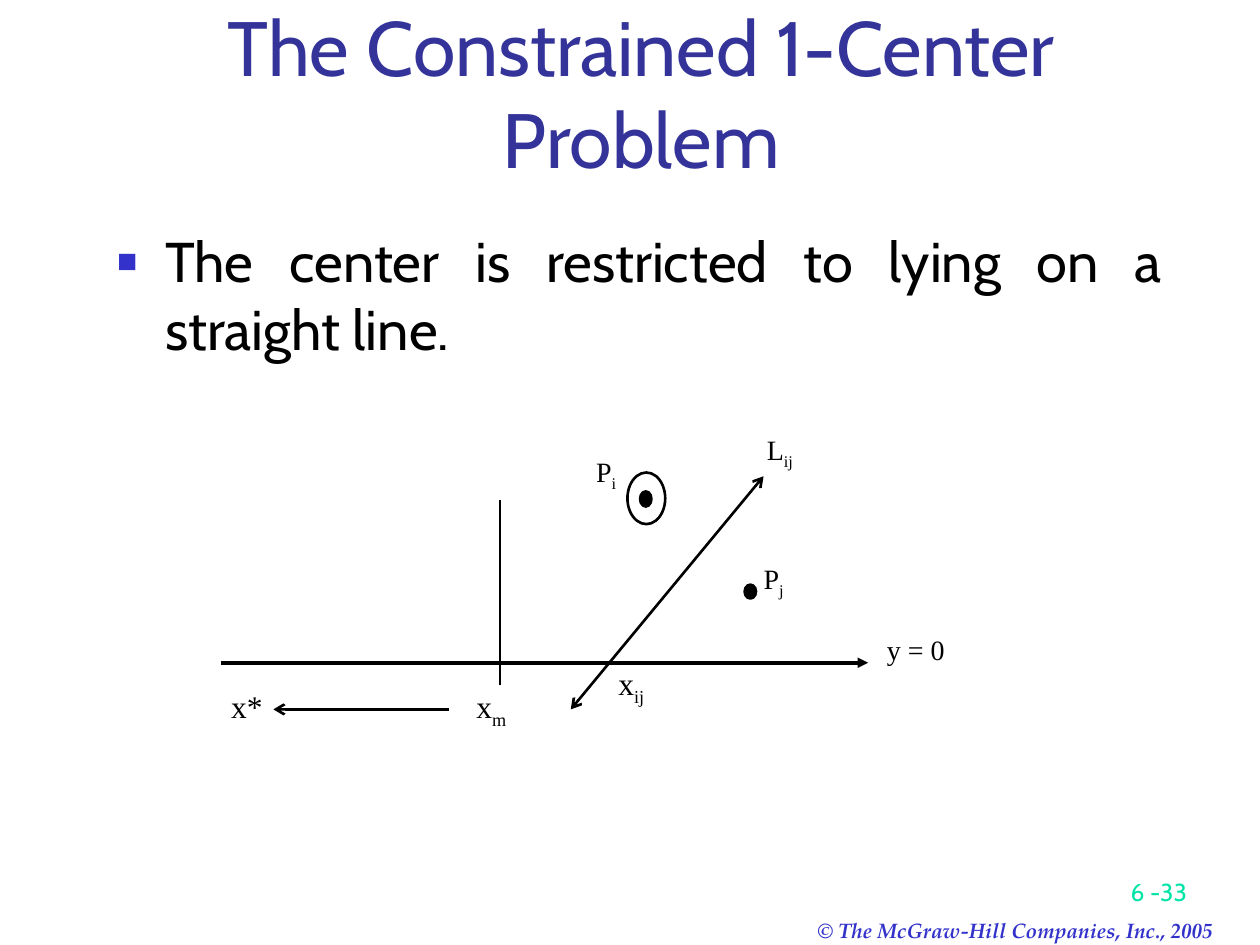
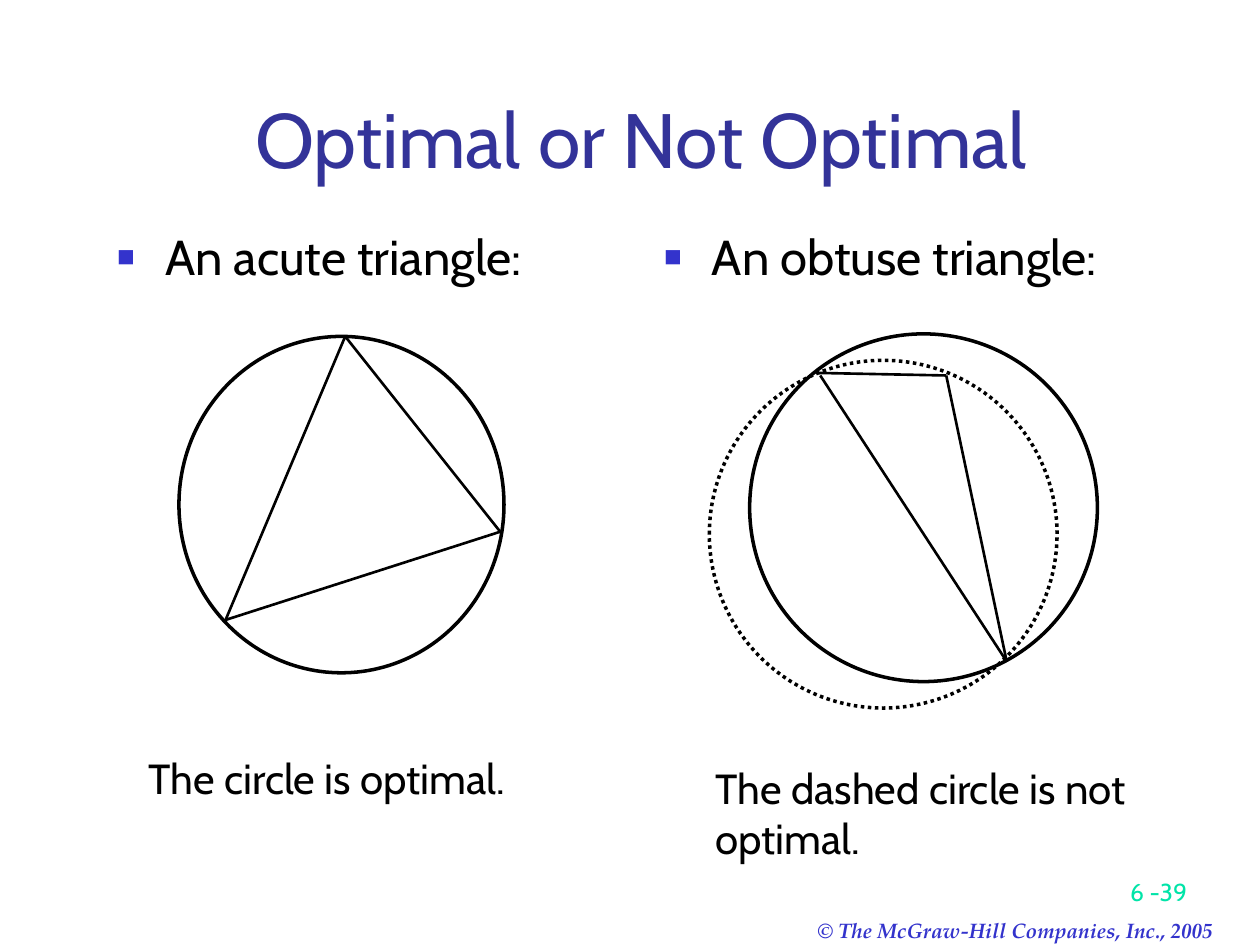
from lxml.etree import SubElement
from pptx import Presentation
from pptx.dml.color import RGBColor
from pptx.enum.dml import MSO_LINE
from pptx.enum.shapes import MSO_CONNECTOR, MSO_SHAPE
from pptx.enum.text import MSO_ANCHOR, MSO_AUTO_SIZE, PP_ALIGN
from pptx.oxml.ns import qn
from pptx.util import Inches, Pt

BLACK = RGBColor(0x00, 0x00, 0x00)
NAVY = RGBColor(0x33, 0x33, 0x99)
BLUE = RGBColor(0x33, 0x33, 0xCC)
GREEN = RGBColor(0x00, 0xE4, 0xA8)
SANS, SERIF, BOOK = "Cabin", "Times New Roman", "TeX Gyre Pagella"
LEFT, MID, RIGHT, FULL = PP_ALIGN.LEFT, PP_ALIGN.CENTER, PP_ALIGN.RIGHT, PP_ALIGN.JUSTIFY

CREDIT = "© The McGraw-Hill Companies, Inc., 2005"
TITLE_BOX = (0.83, 0.67, 8.52, 0.84)
CREDIT_BOX = (6.39, 7.23, 3.68, 0.3)
PAGE_BOX = (7.44, 6.74, 2.08, 0.5)

CENTER = {
    "title": "The Constrained 1-Center Problem",
    "page": "6 -33",
    "layout": 1,
    "size": 32,
    "lists": [("The center is restricted to lying on a straight line.", (0.83, 1.75, 8.5, 4.5), FULL)],
}
OPTIMAL = {
    "title": "Optimal or Not Optimal",
    "page": "6 -39",
    "layout": 3,
    "size": 28,
    "lists": [
        ("An acute triangle:", (0.83, 1.75, 4.17, 4.5), FULL),
        ("An obtuse triangle:", (5.17, 1.75, 4.17, 4.5), LEFT),
    ],
}

AXES = [
    ((1.75, 5.26), (6.89, 5.26), {"width": 2, "tail": "triangle"}),
    ((3.97, 5.44), (3.97, 3.97), {}),
    ((4.53, 5.63), (6.06, 3.78), {"head": "arrow", "tail": "arrow"}),
    ((3.56, 5.63), (2.17, 5.63), {"tail": "arrow"}),
]
DOTS = [(5.91, 4.64, 0.09, 0.11), (5.08, 3.9, 0.09, 0.12)]
RING = (4.98, 3.75, 0.3, 0.41)
LABELS = [
    ("y = 0", 7.03, 5.01, 0.56, 16, LEFT),
    ("L_ij", 6.05, 3.42, 0.28, 16, MID),
    ("P_i", 4.67, 3.6, 0.28, 16, MID),
    ("P_j", 6.05, 4.45, 0.28, 16, LEFT),
    ("x_ij", 4.8, 5.26, 0.42, 18, MID),
    ("x_m", 3.69, 5.44, 0.42, 18, MID),
    ("x*", 1.75, 5.44, 0.42, 18, MID),
]

CIRCLES = [
    ((1.42, 2.67, 2.58, 2.67), None),
    ((5.95, 2.65, 2.76, 2.76), None),
    ((5.63, 2.86, 2.76, 2.76), MSO_LINE.ROUND_DOT),
]
ACUTE = [(2.74, 2.67), (1.79, 4.92), (3.97, 4.22)]
OBTUSE = [
    ((6.5, 2.96), (7.51, 2.98)),
    ((6.51, 2.98), (7.99, 5.25)),
    ((7.99, 5.25), (7.51, 2.98)),
]
NOTES = [
    ("The circle is optimal.", (1.08, 5.92, 3.58, 0.5)),
    ("The dashed circle is not optimal.", (5.58, 6, 4, 0.9)),
]


def inch(vals):
    return [Inches(val) for val in vals]


def write(frame, text, size=24, font=SANS, color=BLACK, align=LEFT, anchor=MSO_ANCHOR.TOP,
          pad=(0.1, 0.05), wrap=True, bold=False, italic=False, bullet=False):
    frame.auto_size = MSO_AUTO_SIZE.NONE
    frame.word_wrap = wrap
    frame.vertical_anchor = anchor
    frame.margin_left = frame.margin_right = Inches(pad[0])
    frame.margin_top = frame.margin_bottom = Inches(pad[1])
    para = frame.paragraphs[0]
    if bullet:
        mark(para)
    para.alignment = align
    para.space_before = Pt(0)
    for rank, part in enumerate(text.split("_")):
        run = para.add_run()
        run.text = part
        face = run.font
        face.name, face.size, face.bold, face.italic = font, Pt(size), bold, italic
        face.color.rgb = color
        if rank:
            face._element.set("baseline", "-25000")


def mark(para):
    props = para._p.get_or_add_pPr()
    props.set("marL", str(Inches(0.38)))
    props.set("indent", str(Inches(-0.38)))
    tint = SubElement(props, qn("a:buClr"))
    SubElement(tint, qn("a:srgbClr"), val=str(BLUE))
    SubElement(props, qn("a:buSzPct"), val="60000")
    SubElement(props, qn("a:buFont"), typeface="Arial")
    SubElement(props, qn("a:buChar"), char="■")


def label(slide, text, box, **style):
    write(slide.shapes.add_textbox(*inch(box)).text_frame, text, **style)


def ink(shape, width=1.5, fill=None, dash=None):
    shape.shadow.inherit = False
    if fill is None:
        shape.fill.background()
    else:
        shape.fill.solid()
        shape.fill.fore_color.rgb = fill
    shape.line.color.rgb = BLACK
    shape.line.width = Pt(width)
    if dash:
        shape.line.dash_style = dash


def oval(slide, box, **style):
    ink(slide.shapes.add_shape(MSO_SHAPE.OVAL, *inch(box)), **style)


def stroke(slide, start, end, width=1.5, head=None, tail=None):
    line = slide.shapes.add_connector(MSO_CONNECTOR.STRAIGHT, *inch(start + end))
    line.line.color.rgb = BLACK
    line.line.width = Pt(width)
    props = line._element.spPr
    for tag, kind in (("a:headEnd", head), ("a:tailEnd", tail)):
        if kind:
            SubElement(props.find(qn("a:ln")), qn(tag), type=kind)
    SubElement(props, qn("a:effectLst"))


def place(holder, box, text, **style):
    holder.left, holder.top, holder.width, holder.height = inch(box)
    write(holder.text_frame, text, **style)


def start(deck, data):
    slide = deck.slides.add_slide(deck.slide_layouts[data["layout"]])
    label(slide, CREDIT, CREDIT_BOX, size=12, font=BOOK, color=BLUE, bold=True, italic=True, wrap=False)
    label(slide, data["page"], PAGE_BOX, size=14, color=GREEN, align=RIGHT, anchor=MSO_ANCHOR.BOTTOM)
    place(slide.shapes.title, TITLE_BOX, data["title"], size=44, color=NAVY, align=MID,
          anchor=MSO_ANCHOR.BOTTOM)
    for spot, (text, box, align) in enumerate(data["lists"], 1):
        place(slide.placeholders[spot], box, text, size=data["size"], align=align, bullet=True)
    return slide


def draw_center(slide):
    for begin, end, style in AXES:
        stroke(slide, begin, end, **style)
    for box in DOTS:
        oval(slide, box, fill=BLACK)
    oval(slide, RING)
    for text, left, top, width, size, align in LABELS:
        label(slide, text, (left, top, width, 0.55), size=size, font=SERIF, align=align, pad=(0.01, 0.01))


def draw_optimal(slide):
    for box, dash in CIRCLES:
        oval(slide, box, width=2, dash=dash)
    points = [inch(point) for point in ACUTE]
    path = slide.shapes.build_freeform(*points[0])
    path.add_line_segments(points[1:], close=True)
    ink(path.convert_to_shape())
    for begin, end in OBTUSE:
        stroke(slide, begin, end)
    for text, box in NOTES:
        label(slide, text, box)


def main():
    deck = Presentation()
    deck.slide_width, deck.slide_height = Inches(10), Inches(7.5)
    draw_center(start(deck, CENTER))
    draw_optimal(start(deck, OPTIMAL))
    deck.save("out.pptx")


if __name__ == "__main__":
    main()
